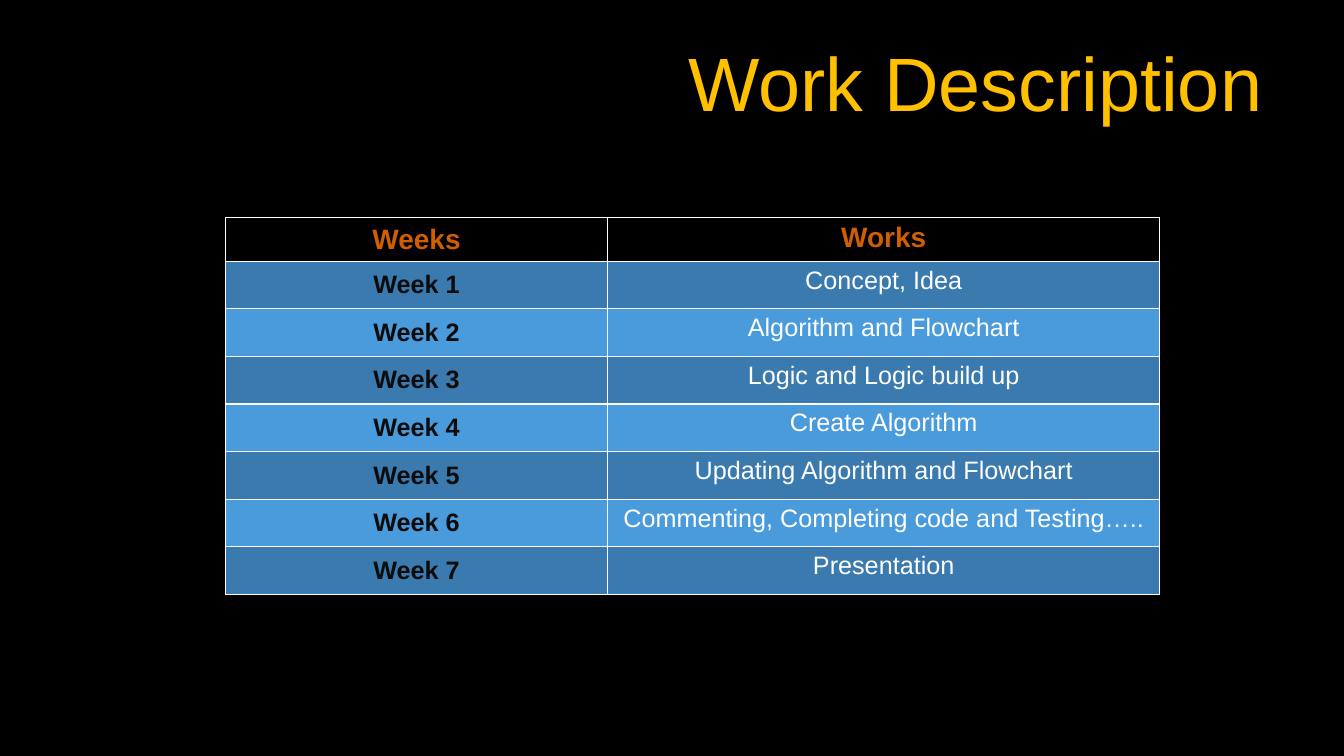
from dataclasses import dataclass

from lxml import etree
from pptx import Presentation
from pptx.dml.color import RGBColor
from pptx.enum.text import MSO_ANCHOR, MSO_AUTO_SIZE, PP_ALIGN
from pptx.oxml.ns import qn
from pptx.util import Cm, Pt

LEFT, CENTER = PP_ALIGN.LEFT, PP_ALIGN.CENTER
TOP, MIDDLE = MSO_ANCHOR.TOP, MSO_ANCHOR.MIDDLE
NO_AUTOFIT = MSO_AUTO_SIZE.NONE
TITLE_ONLY = 5

HEADINGS = ("Weeks", "Works")
WORKS = (
    "Concept, Idea",
    "Algorithm and Flowchart",
    "Logic and Logic build up",
    "Create Algorithm",
    "Updating Algorithm and Flowchart",
    "Commenting, Completing code and Testing…..",
    "Presentation",
)


@dataclass(frozen=True)
class Theme:
    font: str = "Arial"
    background: str = "000000"
    title: str = "FFC000"
    heading: str = "D15E00"
    week: str = "0C0C0C"
    work: str = "FFFFFF"
    border: str = "FFFFFF"
    bands: tuple = ("3A7AAE", "4A9BDC")
    title_size: int = 54
    heading_size: int = 20
    body_size: int = 18
    border_width: int = 1


class SlideBuilder:
    def __init__(self, page, theme):
        self.page = page
        self.theme = theme

    def background(self):
        fill = self.page.background.fill
        fill.solid()
        fill.fore_color.rgb = RGBColor.from_string(self.theme.background)

    def styled_text(self, frame, text, size, color, align, bold=False):
        frame.text = text
        para = frame.paragraphs[0]
        para.alignment = align
        font = para.runs[0].font
        font.name = self.theme.font
        font.size = Pt(size)
        font.bold = bold
        font.color.rgb = RGBColor.from_string(color)

    def title(self, text, left, top, width, height):
        box = self.page.shapes.title
        box.left, box.top, box.width, box.height = map(Cm, (left, top, width, height))
        frame = box.text_frame
        frame.word_wrap = True
        frame.auto_size = NO_AUTOFIT
        frame.vertical_anchor = TOP
        self.styled_text(frame, text, self.theme.title_size, self.theme.title, LEFT)

    def border(self, cell):
        properties = cell._tc.get_or_add_tcPr()
        for side in ("a:lnL", "a:lnR", "a:lnT", "a:lnB"):
            line = etree.SubElement(properties, qn(side), w=str(Pt(self.theme.border_width)))
            fill = etree.SubElement(line, qn("a:solidFill"))
            etree.SubElement(fill, qn("a:srgbClr"), val=self.theme.border)

    def cell(self, cell, text, size, color, fill, bold, anchor):
        self.border(cell)
        cell.fill.solid()
        cell.fill.fore_color.rgb = RGBColor.from_string(fill)
        cell.vertical_anchor = anchor
        self.styled_text(cell.text_frame, text, size, color, CENTER, bold)

    def schedule(self, left, top, widths, heading_height, row_height):
        theme = self.theme
        heights = [heading_height] + [row_height] * len(WORKS)
        table = self.page.shapes.add_table(
            len(heights), len(widths), Cm(left), Cm(top), Cm(sum(widths)), Cm(sum(heights))
        ).table
        for column, width in zip(table.columns, widths):
            column.width = Cm(width)
        for row, height in zip(table.rows, heights):
            row.height = Cm(height)

        for index, (heading, anchor) in enumerate(zip(HEADINGS, (MIDDLE, TOP))):
            self.cell(table.cell(0, index), heading, theme.heading_size,
                      theme.heading, theme.background, True, anchor)
        for number, work in enumerate(WORKS, start=1):
            band = theme.bands[(number - 1) % len(theme.bands)]
            self.cell(table.cell(number, 0), f"Week {number}", theme.body_size,
                      theme.week, band, True, MIDDLE)
            self.cell(table.cell(number, 1), work, theme.body_size,
                      theme.work, band, False, TOP)


def main():
    deck = Presentation()
    deck.slide_width, deck.slide_height = Cm(33.87), Cm(19.05)
    page = deck.slides.add_slide(deck.slide_layouts[TITLE_ONLY])
    builder = SlideBuilder(page, Theme())
    builder.background()
    builder.title("Work Description", 17.09, 0.79, 15.16, 2.57)
    builder.schedule(5.68, 5.48, (9.63, 13.92), 1.1, 1.2)
    deck.save("out.pptx")


if __name__ == "__main__":
    main()
